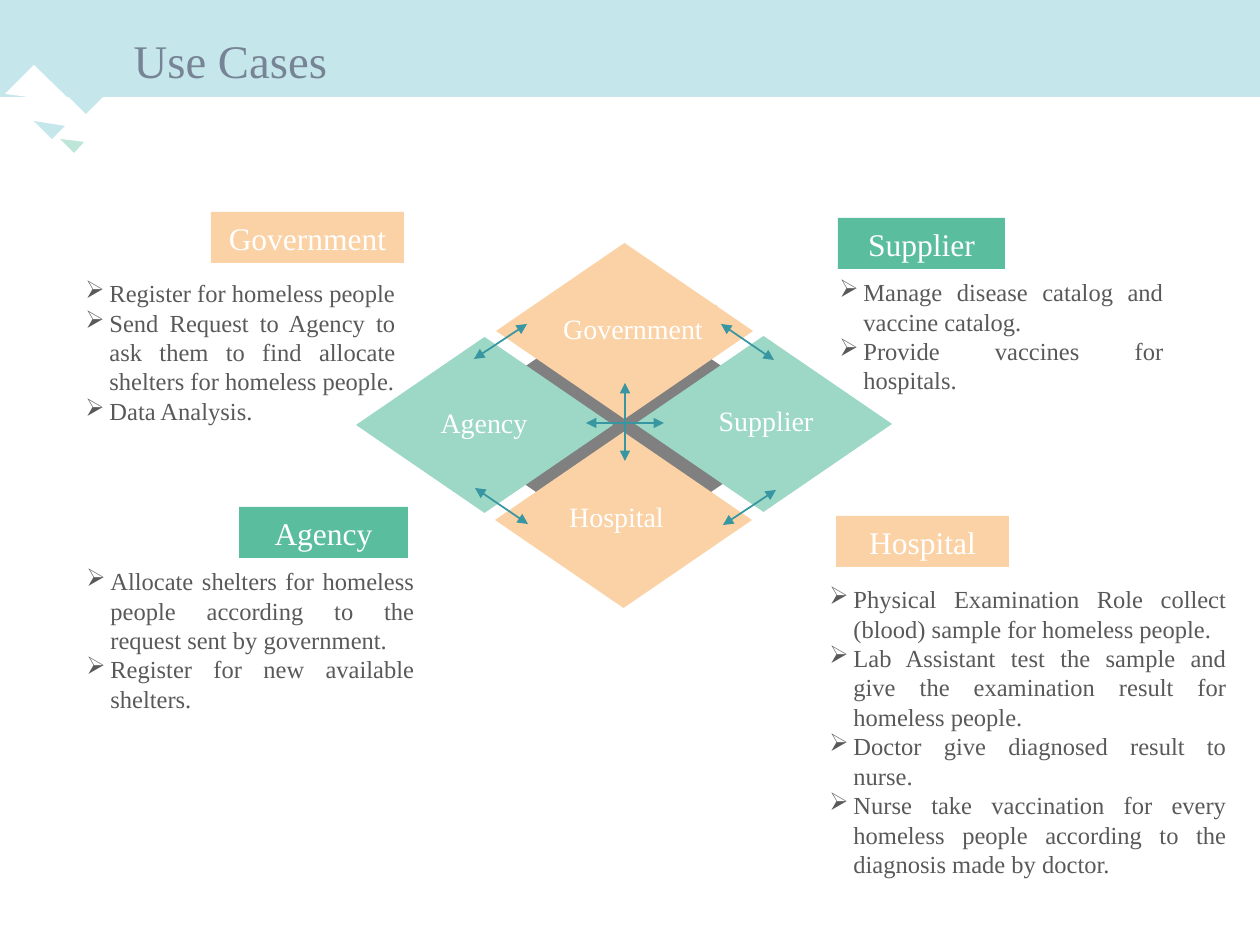
"""Build the "Use Cases" slide: four roles, their tasks and how they interact."""
from dataclasses import dataclass

import lxml.etree
import pptx
import pptx.dml.color
import pptx.enum.shapes
import pptx.enum.text
import pptx.oxml.ns
import pptx.util

PX = 914400 / 126
SHAPE = pptx.enum.shapes.MSO_SHAPE
ALIGN = pptx.enum.text.PP_ALIGN
ANCHOR = pptx.enum.text.MSO_ANCHOR
qn = pptx.oxml.ns.qn


@dataclass(frozen=True)
class Theme:
    font: str = "Times New Roman"
    sky: str = "C5E7EB"
    mint: str = "BDE5D8"
    white: str = "FFFFFF"
    grey: str = "808080"
    peach: str = "FBD2A6"
    green: str = "5ABE9E"
    light_green: str = "9CD8C5"
    teal: str = "3796A1"
    title: str = "778495"
    body: str = "595959"
    title_size: float = 26.7
    header_size: float = 18
    label_size: float = 16
    body_size: float = 14
    body_leading: float = 16.8


theme = Theme()


def style_text(frame, size, color, align):
    for paragraph in frame.paragraphs:
        paragraph.alignment = align
        for run in paragraph.runs:
            run.font.name = theme.font
            run.font.size = pptx.util.Pt(size)
            run.font.color.rgb = pptx.dml.color.RGBColor.from_string(color)


def add_block(kind, box, color, text="", size=theme.label_size):
    block = slide.shapes.add_shape(kind, *(round(v * PX) for v in box))
    block.shadow.inherit = False
    block.fill.solid()
    block.fill.fore_color.rgb = pptx.dml.color.RGBColor.from_string(color)
    block.line.fill.background()
    if text:
        block.text_frame.text = text
        block.text_frame.word_wrap = False
        block.text_frame.vertical_anchor = ANCHOR.MIDDLE
        style_text(block.text_frame, size, theme.white, ALIGN.CENTER)


deck = pptx.Presentation()
deck.slide_width = round(1260 * PX)
deck.slide_height = round(945 * PX)
slide = deck.slides.add_slide(deck.slide_layouts[5])

add_block(SHAPE.RECTANGLE, (0, 0, 1260, 97), theme.sky)
shards = [
    (theme.sky, [(58, 86), (107, 93), (86, 114)]),
    (theme.mint, [(60, 139), (84, 142), (74, 153)]),
    (theme.white, [(5, 94), (73, 103), (34, 65)]),
    (theme.sky, [(34, 121), (65, 126), (52, 139)]),
]
for color, corners in shards:
    outline = slide.shapes.build_freeform(*corners[0], scale=PX)
    outline.add_line_segments(corners[1:], close=True)
    shard = outline.convert_to_shape()
    shard.shadow.inherit = False
    shard.fill.solid()
    shard.fill.fore_color.rgb = pptx.dml.color.RGBColor.from_string(color)
    shard.line.fill.background()

title = slide.shapes.title
title.left, title.top, title.width, title.height = (
    round(v * PX) for v in (121, 25, 551, 69))
title.text_frame.text = "Use Cases"
title.text_frame.vertical_anchor = ANCHOR.BOTTOM
style_text(title.text_frame, theme.title_size, theme.title, ALIGN.LEFT)
slide.shapes._spTree.append(title._element)

add_block(SHAPE.DIAMOND, (439, 299, 369, 253), theme.grey)
diamonds = [
    ("Agency", theme.light_green, (356, 337), (425, 399, 118, 47)),
    ("Government", theme.peach, (496, 243), (549, 305, 168, 47)),
    ("Supplier", theme.light_green, (635, 336), (693, 397, 146, 47)),
    ("Hospital", theme.peach, (495, 432), (549, 493, 135, 47)),
]
for role, color, corner, label_box in diamonds:
    add_block(SHAPE.DIAMOND, (*corner, 257, 176), color)
    add_block(SHAPE.RECTANGLE, label_box, color, role)

use_cases = [
    ("Government", theme.peach, (211, 212, 193, 51), (73, 272, 335, 161), [
        "Register for homeless people",
        "Send Request to Agency to ask them to find allocate shelters for homeless people.",
        "Data Analysis.",
    ]),
    ("Supplier", theme.green, (838, 218, 167, 51), (827, 271, 349, 102), [
        "Manage disease catalog and vaccine catalog.",
        "Provide vaccines for hospitals.",
    ]),
    ("Agency", theme.green, (239, 507, 169, 51), (74, 560, 353, 190), [
        "Allocate shelters for homeless people according to the request sent by government.",
        "Register for new available shelters.",
    ]),
    ("Hospital", theme.peach, (836, 516, 173, 51), (817, 578, 422, 280), [
        "Physical Examination Role collect (blood) sample for homeless people.",
        "Lab Assistant test the sample and give the examination result for homeless people.",
        "Doctor give diagnosed result to nurse.",
        "Nurse take vaccination for every homeless people according to the diagnosis made by doctor.",
    ]),
]
for role, color, header_box, tasks_box, tasks in use_cases:
    add_block(SHAPE.RECTANGLE, header_box, color, role, theme.header_size)
    task_list = slide.shapes.add_textbox(*(round(v * PX) for v in tasks_box)).text_frame
    task_list.word_wrap = True
    task_list.text = "\n".join(tasks)
    for task in task_list.paragraphs:
        properties = task._p.get_or_add_pPr()
        properties.set("marL", str(round(24 * PX)))
        properties.set("indent", str(round(-24 * PX)))
        lxml.etree.SubElement(properties, qn("a:buChar")).set("char", "➢")
        task.line_spacing = pptx.util.Pt(theme.body_leading)
    style_text(task_list, theme.body_size, theme.body, ALIGN.JUSTIFY)

exchanges = [
    (723, 525, 776, 490),
    (474, 359, 527, 324),
    (475, 488, 528, 524),
    (721, 324, 774, 360),
    (586, 423, 664, 423),
    (625, 461, 625, 383),
]
for ends in exchanges:
    exchange = slide.shapes.add_connector(
        pptx.enum.shapes.MSO_CONNECTOR.STRAIGHT, *(round(v * PX) for v in ends))
    exchange.line.color.rgb = pptx.dml.color.RGBColor.from_string(theme.teal)
    exchange.line.width = pptx.util.Pt(1)
    for end in ("a:headEnd", "a:tailEnd"):
        lxml.etree.SubElement(exchange.line._get_or_add_ln(), qn(end)).set("type", "triangle")
    lxml.etree.SubElement(exchange._element.spPr, qn("a:effectLst"))

deck.save("out.pptx")
